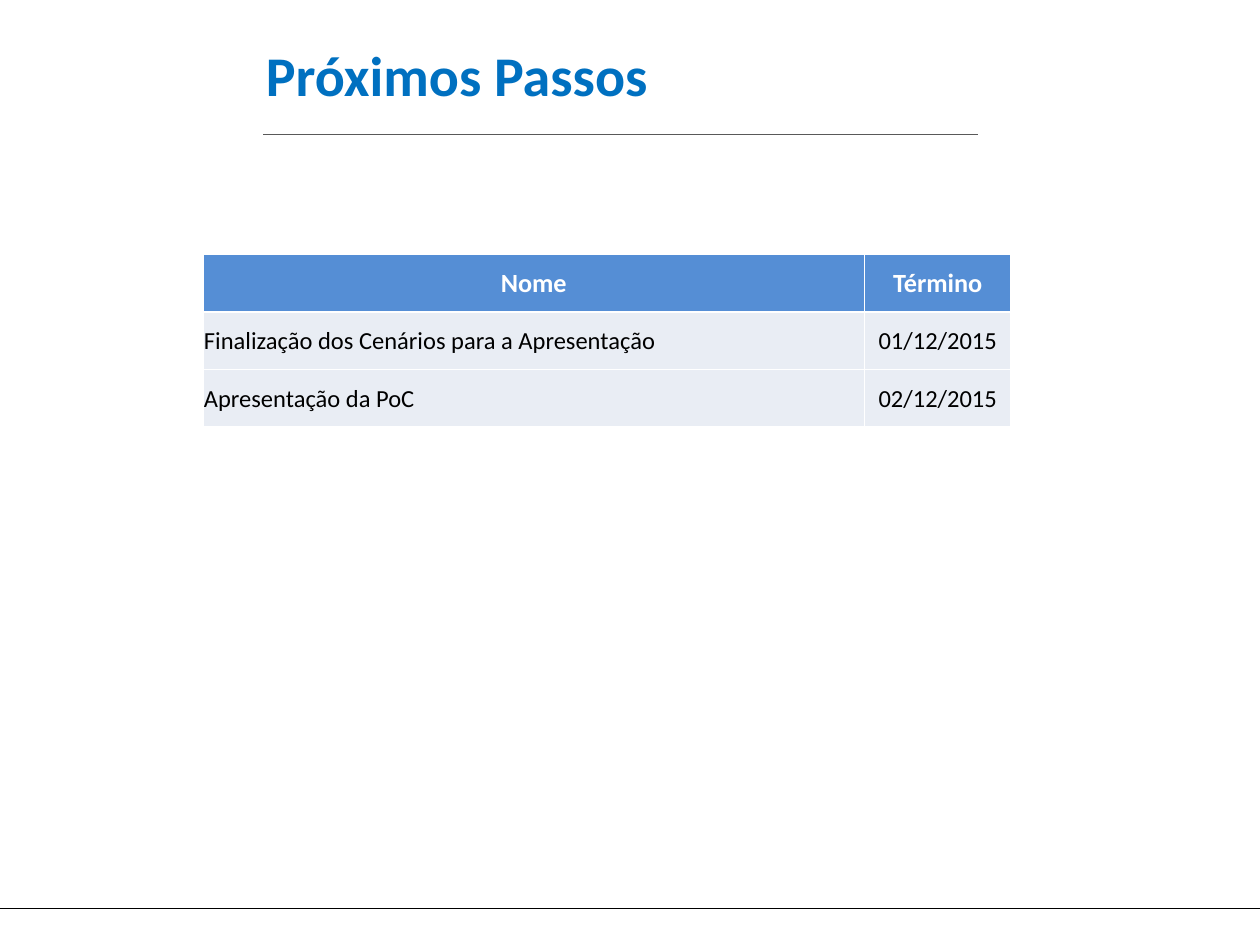
"""Build the "Próximos Passos" slide with its table of closing dates."""
from dataclasses import dataclass

from lxml.etree import SubElement
from pptx import Presentation
from pptx.dml.color import RGBColor
from pptx.enum.shapes import MSO_CONNECTOR
from pptx.enum.text import MSO_ANCHOR, PP_ALIGN
from pptx.oxml import parse_xml
from pptx.oxml.ns import nsdecls, qn
from pptx.util import Cm, Pt


@dataclass(frozen=True)
class Theme:
    font: str = "Calibri"
    title: str = "0070C0"
    header: str = "558ED5"
    row: str = "E9EDF4"
    white: str = "FFFFFF"
    black: str = "000000"
    rule: str = "595959"
    title_size: int = 32
    header_size: int = 15
    body_size: int = 14


THEME = Theme()


def write(paragraph, text, size, color, bold):
    run = paragraph.add_run()
    run.text = text
    formats = {"name": THEME.font, "size": Pt(size), "bold": bold}
    for attribute, value in formats.items():
        setattr(run.font, attribute, value)
    run.font.color.rgb = RGBColor.from_string(color)


def add_borders(cell, color, width):
    properties = cell._tc.get_or_add_tcPr()
    for position, side in enumerate(("lnL", "lnR", "lnT", "lnB")):
        properties.insert(position, parse_xml(
            f'<a:{side} {nsdecls("a")} w="{Pt(width)}"><a:solidFill>'
            f'<a:srgbClr val="{color}"/></a:solidFill></a:{side}>'))


presentation = Presentation()
presentation.slide_width = Cm(25.4)
presentation.slide_height = Cm(19.05)
slide = presentation.slides.add_slide(presentation.slide_layouts[6])

rules = [
    (0, 25.4, 18.31, THEME.black, 0.75),
    (5.31, 19.71, 2.72, THEME.rule, 0.5),
]
for start, end, height, color, width in rules:
    rule = slide.shapes.add_connector(
        MSO_CONNECTOR.STRAIGHT, Cm(start), Cm(height), Cm(end), Cm(height))
    rule.line.color.rgb = RGBColor.from_string(color)
    rule.line.width = Pt(width)
    SubElement(rule._element.spPr, qn("a:effectLst"))

title = slide.shapes.add_textbox(Cm(5.11), Cm(0.38), Cm(15.67), Cm(2.21)).text_frame
title.word_wrap = True
title.vertical_anchor = MSO_ANCHOR.MIDDLE
write(title.paragraphs[0], "Próximos Passos", THEME.title_size, THEME.title, True)

steps = [
    ("Nome", "Término"),
    ("Finalização dos Cenários para a Apresentação", "01/12/2015"),
    ("Apresentação da PoC", "02/12/2015"),
]
column_widths = (13.34, 2.95)
row_height = 1.16
schedule = slide.shapes.add_table(
    len(steps), len(column_widths), Cm(4.09), Cm(5.13),
    Cm(sum(column_widths)), Cm(row_height * len(steps))).table
for column, width in zip(schedule.columns, column_widths):
    column.width = Cm(width)

cell_format = {
    "vertical_anchor": MSO_ANCHOR.MIDDLE,
    "margin_left": Cm(0.02),
    "margin_right": Cm(0.02),
    "margin_top": Cm(0.02),
    "margin_bottom": 0,
}
for row_index, step in enumerate(steps):
    is_header = row_index == 0
    for column_index, text in enumerate(step):
        cell = schedule.cell(row_index, column_index)
        for attribute, value in cell_format.items():
            setattr(cell, attribute, value)
        cell.fill.solid()
        cell.fill.fore_color.rgb = RGBColor.from_string(
            THEME.header if is_header else THEME.row)
        add_borders(cell, THEME.white, 1)
        paragraph = cell.text_frame.paragraphs[0]
        centered = is_header or column_index == 1
        paragraph.alignment = PP_ALIGN.CENTER if centered else PP_ALIGN.LEFT
        write(paragraph, text,
              THEME.header_size if is_header else THEME.body_size,
              THEME.white if is_header else THEME.black, is_header)

presentation.save("out.pptx")
